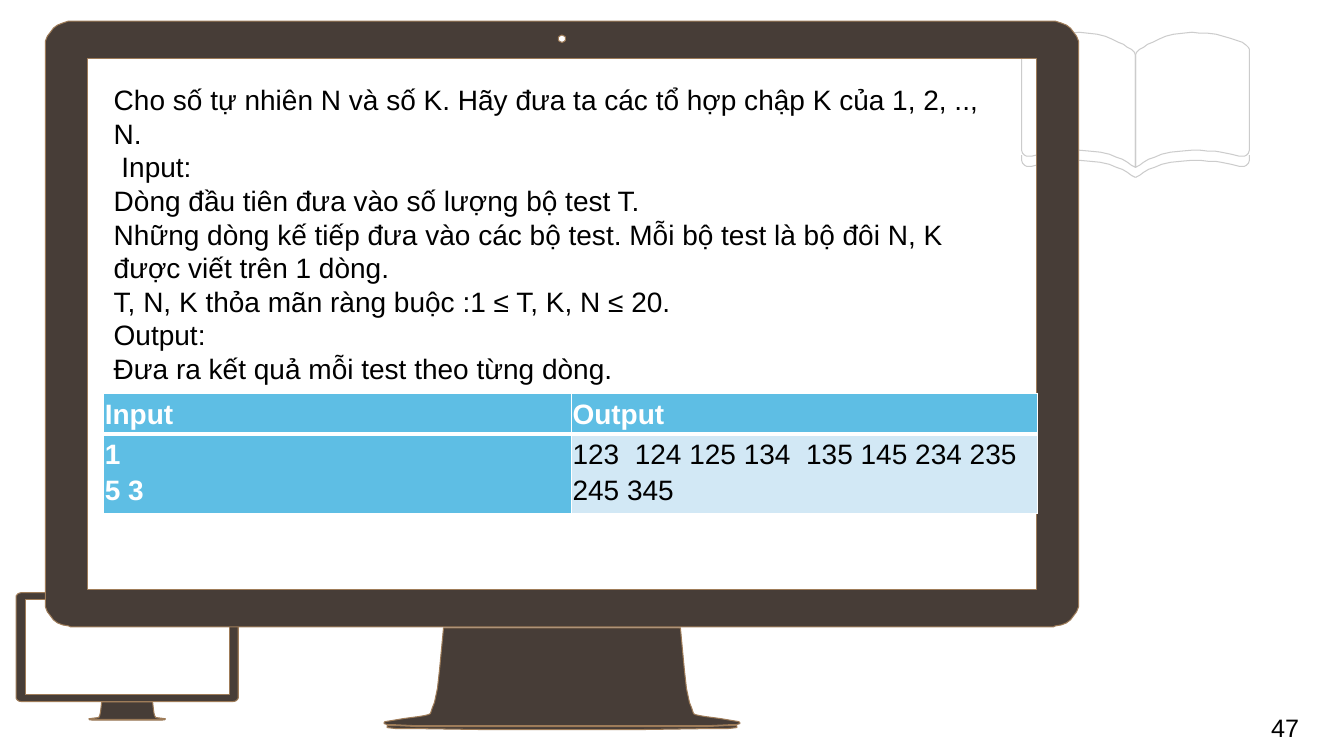
from dataclasses import dataclass
from typing import Optional

from lxml.etree import SubElement
from pptx import Presentation
from pptx.dml.color import RGBColor
from pptx.enum.text import MSO_ANCHOR
from pptx.oxml.ns import qn
from pptx.util import Inches, Pt

GRID = Inches(0.1)
FONT = "Arial"
INK = {
    "body": "473D37",
    "edge": "9E7C59",
    "book": "CCCCCC",
    "text": "000000",
    "white": "FFFFFF",
    "head": "5EBEE4",
    "cell": "D2E8F5",
}

Point = tuple[float, float]

MID = 51.25
LENS = [(51.2, 1.4), (51, 1.5), (50.9, 1.6), (50.9, 1.9), (51, 2), (51.2, 2.1)]
SCREEN = [(4.2, 3.7), (4.2, 56.4)]
BEZEL = [
    (2.5, 0), (2.3, 0), (1.7, 0.2), (1.2, 0.4), (0.8, 0.7), (0.5, 1.1),
    (0.2, 1.5), (0, 2), (0, 2.5), (0, 57.6), (0, 58.1), (0.2, 58.6),
    (0.5, 59), (0.8, 59.4), (1.2, 59.7), (1.7, 59.9), (2.3, 60), (2.5, 60.1),
]
STAND = [
    (39.5, 60.2), (39.3, 62.3), (39.1, 64.4), (38.9, 66.2), (38.6, 67.6),
    (38.4, 68.1), (38.3, 68.4), (38.2, 68.7), (38, 68.8), (37.6, 68.9),
    (37, 69), (35.5, 69.2), (34.3, 69.4), (33.7, 69.5), (33.6, 69.6),
    (33.6, 69.7), (34, 69.8), (34.6, 69.8), (36.7, 69.9), (40.1, 69.9),
]
BASE = [
    (44.5, 70), (37.1, 70), (35.1, 69.9), (33.9, 69.9), (33.9, 70.1),
    (34, 70.1), (34.9, 70.2), (37.5, 70.2), (44.6, 70.3),
]

SPINE = 112.65
FOOT = [
    (0, 16.6), (0.4, 16.4), (0.8, 16.1), (1.3, 15.8), (1.9, 15.6), (2.6, 15.3),
    (3.5, 15.1), (4.5, 15), (5.6, 14.9), (6.4, 14.9), (7.2, 15), (7.9, 15),
    (8.5, 15.1), (9, 15.2), (9.5, 15.3), (10.3, 15.5), (10.8, 15.5),
    (11, 15.4), (11.1, 15.3), (11.2, 15.2), (11.3, 14.9),
]
TOP = [
    (11.3, 4.9), (11.2, 4.7), (11, 4.5), (10.6, 4.2), (10, 4), (9.4, 3.8),
    (8.7, 3.6), (8, 3.4), (7.2, 3.3), (6.4, 3.3), (5.6, 3.2), (4.7, 3.3),
    (3.8, 3.4), (3, 3.6), (2.3, 3.9), (1.7, 4.2), (1.2, 4.4), (0.8, 4.7),
    (0.4, 4.9), (0.2, 5.1), (0.1, 5.2), (0, 5.5),
]
EDGE = [(x, y + 1) for x, y in FOOT] + [(11.3, 15.4)]

TASK = [
    "Cho số tự nhiên N và số K. Hãy đưa ta các tổ hợp chập K của 1, 2, .., N.",
    " Input:",
    "Dòng đầu tiên đưa vào số lượng bộ test T.",
    "Những dòng kế tiếp đưa vào các bộ test. Mỗi bộ test là bộ đôi N, K được viết trên 1 dòng.",
    "T, N, K thỏa mãn ràng buộc :1 ≤ T, K, N ≤ 20.",
    "Output:",
    "Đưa ra kết quả mỗi test theo từng dòng.",
]


@dataclass(frozen=True)
class Screen:
    left: float
    top: float
    wide: float = 1
    high: float = 1


@dataclass(frozen=True)
class Cell:
    row: int
    col: int
    lines: list[str]
    fill: str = "head"
    ink: str = "white"
    bold: bool = True


CELLS = [
    Cell(0, 0, ["Input"]),
    Cell(0, 1, ["Output"]),
    Cell(1, 0, ["1", "5 3"]),
    Cell(1, 1, ["123  124 125 134  135 145 234 235 245 345"], "cell", "text", False),
]


def span(cells: float) -> int:
    return round(cells * GRID)


def tint(name: str) -> RGBColor:
    return RGBColor.from_string(INK[name])


def trace(slide, loops: list[list[Point]], line: str,
          fill: Optional[str] = None, close: bool = True) -> None:
    pen = None
    for loop in loops:
        dots = [(span(x), span(y)) for x, y in loop]
        if pen is None:
            pen = slide.shapes.build_freeform(*dots[0], scale=1.0)
        else:
            pen.move_to(*dots[0])
        pen.add_line_segments(dots[1:], close=close)
    shape = pen.convert_to_shape()
    shape.shadow.inherit = False
    shape.line.color.rgb = tint(line)
    shape.line.width = Pt(0.75)
    if fill:
        shape.fill.solid()
        shape.fill.fore_color.rgb = tint(fill)
    else:
        shape.fill.background()


def draw_screen(slide, item: Screen) -> None:
    loops = []
    for half in (LENS, SCREEN, BEZEL, STAND, BASE):
        full = half + [(2 * MID - x, y) for x, y in reversed(half)]
        loops.append([(item.left + x * item.wide, item.top + y * item.high)
                      for x, y in full])
    trace(slide, loops, "edge", "body")


def draw_book(slide) -> None:
    for half, close in ((EDGE, False), (FOOT + TOP, True)):
        for side in (-1, 1):
            trace(slide, [[(SPINE + side * x, y) for x, y in half]],
                  "book", close=close)


def write(para, text: str, size: int, ink: str = "text", bold: bool = False) -> None:
    run = para.add_run()
    run.text = text
    run.font.name = FONT
    run.font.size = Pt(size)
    run.font.bold = bold
    run.font.color.rgb = tint(ink)


def add_box(slide, area: tuple[float, float, float, float],
            lines: list[str], size: int):
    frame = slide.shapes.add_textbox(*map(span, area)).text_frame
    frame.word_wrap = True
    for i, text in enumerate(lines):
        para = frame.add_paragraph() if i else frame.paragraphs[0]
        write(para, text, size)
    return frame


def add_grid(slide) -> None:
    table = slide.shapes.add_table(2, 2, *map(span, (10.3, 39, 92.6, 11.5))).table
    table.first_col = True
    for col, wide in zip(table.columns, (46.4, 46.2)):
        col.width = span(wide)
    for row, high in zip(table.rows, (3.8, 7.7)):
        row.height = span(high)
    for item in CELLS:
        cell = table.cell(item.row, item.col)
        cell.fill.solid()
        cell.fill.fore_color.rgb = tint(item.fill)
        cell.margin_left = cell.margin_right = span(0.1)
        cell.margin_top = cell.margin_bottom = span(0.1)
        props = cell._tc.get_or_add_tcPr()
        for i, side in enumerate(("lnL", "lnR", "lnT", "lnB")):
            thick = 3 if (item.row, side) in ((0, "lnB"), (1, "lnT")) else 1
            line = SubElement(props, qn(f"a:{side}"), w=str(Pt(thick)))
            paint = SubElement(line, qn("a:solidFill"))
            SubElement(paint, qn("a:srgbClr"), val=INK["white"])
            props.insert(i, line)
        para = cell.text_frame.paragraphs[0]
        para.line_spacing = 1.15
        for i, text in enumerate(item.lines):
            if i:
                para.add_line_break()
            write(para, text, 20, item.ink, item.bold)


def main() -> None:
    deck = Presentation()
    deck.slide_width, deck.slide_height = span(133.33), span(75)
    slide = deck.slides.add_slide(deck.slide_layouts[6])
    page = add_box(slide, (124.8, 69.3, 8, 5.7), ["47"], 18)
    page.vertical_anchor = MSO_ANCHOR.MIDDLE
    page.margin_left = page.margin_right = span(1.3)
    page.margin_top = page.margin_bottom = span(1.3)
    draw_screen(slide, Screen(1.6, 58.8, 0.215, 0.18))
    draw_book(slide)
    draw_screen(slide, Screen(4.5, 2.1))
    add_box(slide, (10.3, 7.7, 89.4, 31.3), TASK, 20)
    add_grid(slide)
    deck.save("out.pptx")


if __name__ == "__main__":
    main()
